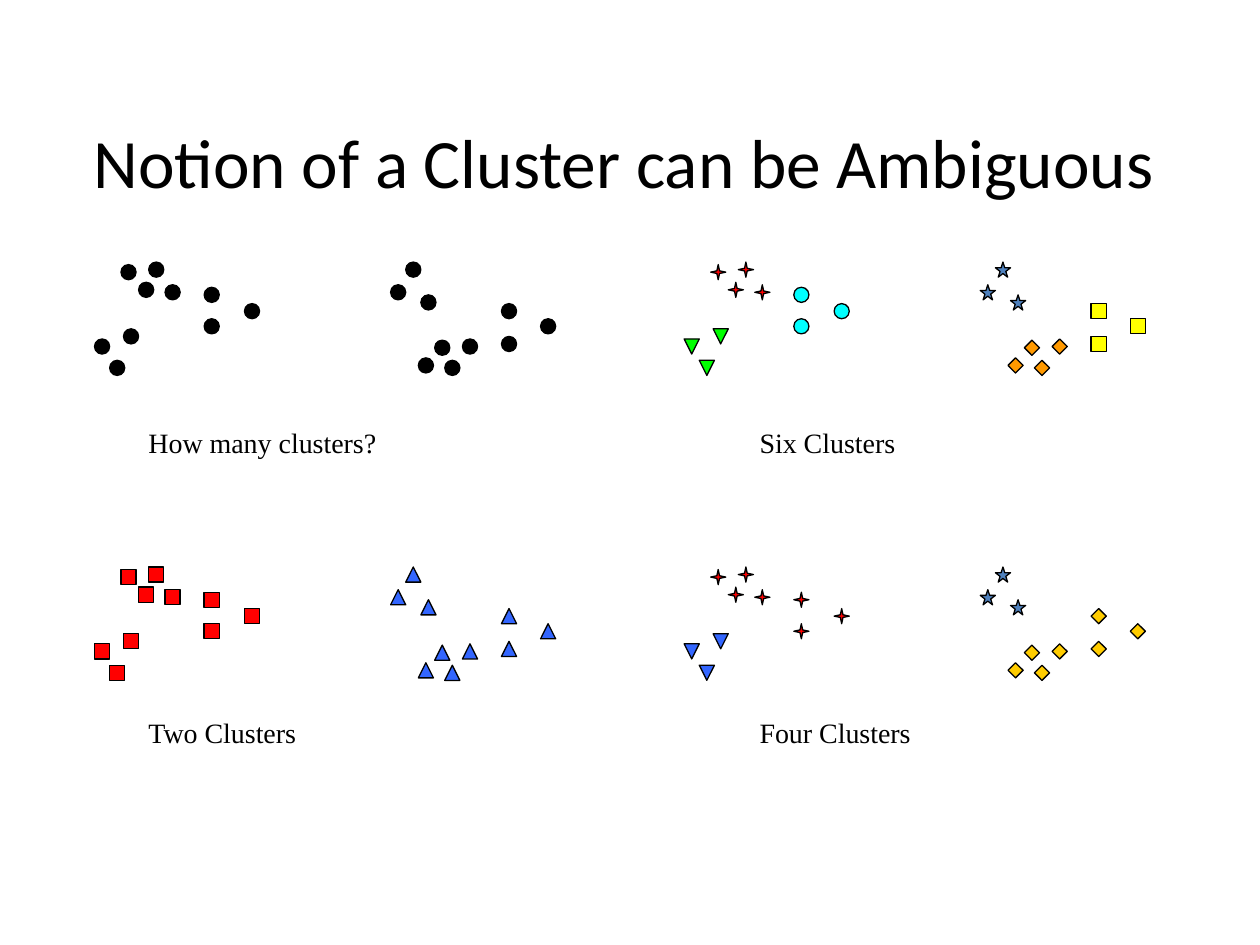
from dataclasses import dataclass

from pptx import Presentation
from pptx.dml.color import RGBColor
from pptx.enum.shapes import MSO_SHAPE as Kind
from pptx.enum.text import MSO_ANCHOR as Anchor, MSO_AUTO_SIZE as Fit, PP_ALIGN as Align
from pptx.oxml.ns import qn
from pptx.util import Inches, Pt


@dataclass(frozen=True)
class Theme:
    black: str = "000000"
    red: str = "FF0000"
    blue: str = "3366FF"
    steel: str = "4F81BD"
    green: str = "00FF00"
    cyan: str = "00FFFF"
    yellow: str = "FFFF00"
    orange: str = "FF9900"
    gold: str = "FFCC00"
    head: str = "Calibri"
    body: str = "Times New Roman"
    title: float = 39.6
    label: float = 16
    line: float = 0.75


T = Theme()
SIZE = 0.12  # side of every marker
STAR = "star"  # drawn as an outline

# Corners of the five-pointed star, as shares of its box
CORNERS = [(0, 0.38), (0.38, 0.38), (0.5, 0), (0.62, 0.38), (1, 0.38),
           (0.69, 0.62), (0.81, 1), (0.5, 0.76), (0.19, 1), (0.31, 0.62)]

# Six natural groups of points, measured from the panel's corner
POINTS = {
    "top": [(0.56, 0.18), (0.21, 0.02), (0.43, 0), (0.35, 0.16)],
    "low": [(0.23, 0.53), (0, 0.61), (0.12, 0.78)],
    "mid": [(0.87, 0.2), (1.19, 0.33), (0.87, 0.45)],
    "peak": [(2.59, 0.26), (2.35, 0.18), (2.47, 0)],
    "base": [(2.92, 0.61), (2.57, 0.76), (2.78, 0.78), (2.7, 0.62)],
    "east": [(3.23, 0.59), (3.54, 0.45), (3.23, 0.33)],
}
LEFT, RIGHT = ("top", "low", "mid"), ("peak", "base", "east")

# A style is kind, fill and whether the marker points down
SPARK = (Kind.STAR_4_POINT, T.red, False)
STEEL = (STAR, T.steel, False)


def same(style, names):
    return {name: style for name in names}


# Panels: corner, label corner, label, style of each group
PANELS = [
    ((0.75, 2.08), (1.08, 3.33), "How many clusters?",
     same((Kind.OVAL, T.black, False), LEFT + RIGHT)),
    ((5.43, 2.08), (5.93, 3.33), "Six Clusters", {
        "top": SPARK,
        "low": (Kind.ISOSCELES_TRIANGLE, T.green, True),
        "mid": (Kind.OVAL, T.cyan, False),
        "peak": STEEL,
        "base": (Kind.DIAMOND, T.orange, False),
        "east": (Kind.RECTANGLE, T.yellow, False)}),
    ((0.75, 4.5), (1.08, 5.63), "Two Clusters",
     same((Kind.RECTANGLE, T.red, False), LEFT)
     | same((Kind.ISOSCELES_TRIANGLE, T.blue, False), RIGHT)),
    ((5.43, 4.5), (5.93, 5.63), "Four Clusters",
     same(SPARK, ("top", "mid"))
     | {"low": (Kind.FLOWCHART_EXTRACT, T.blue, True), "peak": STEEL}
     | same((Kind.DIAMOND, T.gold, False), ("base", "east"))),
]


def add_text(shapes, box, text, font, size):
    """Place one line of text in a box and return its frame."""
    frame = shapes.add_textbox(*map(Inches, box)).text_frame
    frame.word_wrap = True
    run = frame.paragraphs[0].add_run()
    run.text = text
    run.font.name, run.font.size = font, Pt(size)
    run.font.color.rgb = RGBColor.from_string(T.black)
    return frame


def add_title(shapes, box):
    frame = add_text(shapes, box, "Notion of a Cluster can be Ambiguous",
                     T.head, T.title)
    frame.vertical_anchor = Anchor.MIDDLE
    frame.paragraphs[0].alignment = Align.CENTER


def add_star(shapes, x, y):
    dots = [(Inches(x + a * SIZE), Inches(y + b * SIZE)) for a, b in CORNERS]
    pen = shapes.build_freeform(*dots[0])
    pen.add_line_segments(dots[1:], close=True)
    return pen.convert_to_shape()


def add_mark(shapes, x, y, style):
    kind, fill, down = style
    if kind == STAR:
        mark = add_star(shapes, x, y)
    else:
        mark = shapes.add_shape(kind, *map(Inches, (x, y, SIZE, SIZE)))
    if kind == Kind.STAR_4_POINT:
        mark.adjustments[0] = 0.125
    if down:
        mark._element.spPr.find(qn("a:xfrm")).set("flipV", "1")
    mark.shadow.inherit = False
    mark.fill.solid()
    mark.fill.fore_color.rgb = RGBColor.from_string(fill)
    mark.line.color.rgb = RGBColor.from_string(T.black)
    mark.line.width = Pt(T.line)


def add_panel(shapes, corner, spot, text, styles):
    """Group the markers of one clustering with its label."""
    group = shapes.add_group_shape().shapes
    left, top = corner
    for name, style in styles.items():
        for x, y in POINTS[name]:
            add_mark(group, left + x, top + y, style)
    frame = add_text(group, (*spot, 2.5, 0.37), text, T.body, T.label)
    frame.auto_size = Fit.SHAPE_TO_FIT_TEXT


def main():
    deck = Presentation()
    deck.slide_width, deck.slide_height = Inches(10), Inches(7.5)
    shapes = deck.slides.add_slide(deck.slide_layouts[6]).shapes
    add_title(shapes, (0.42, 0.98, 9.06, 0.6))
    for panel in PANELS:
        add_panel(shapes, *panel)
    deck.save("out.pptx")


if __name__ == "__main__":
    main()
